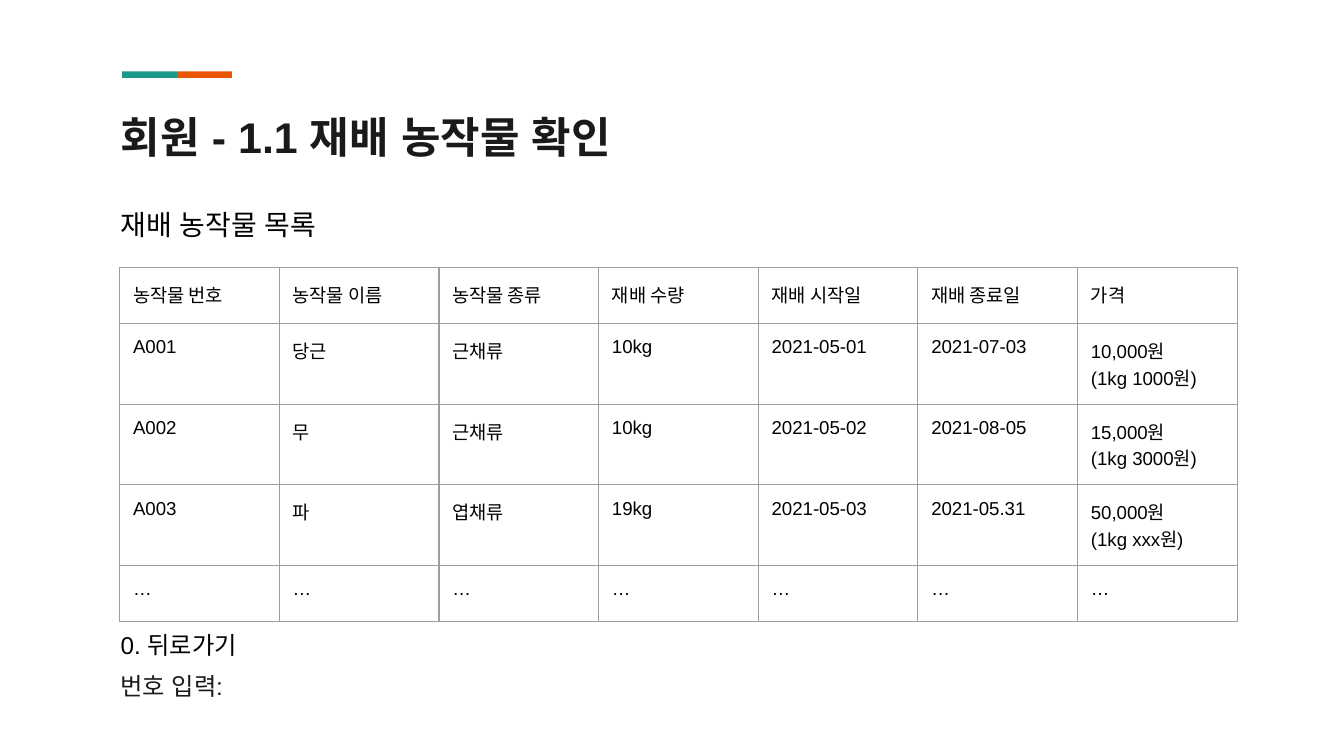
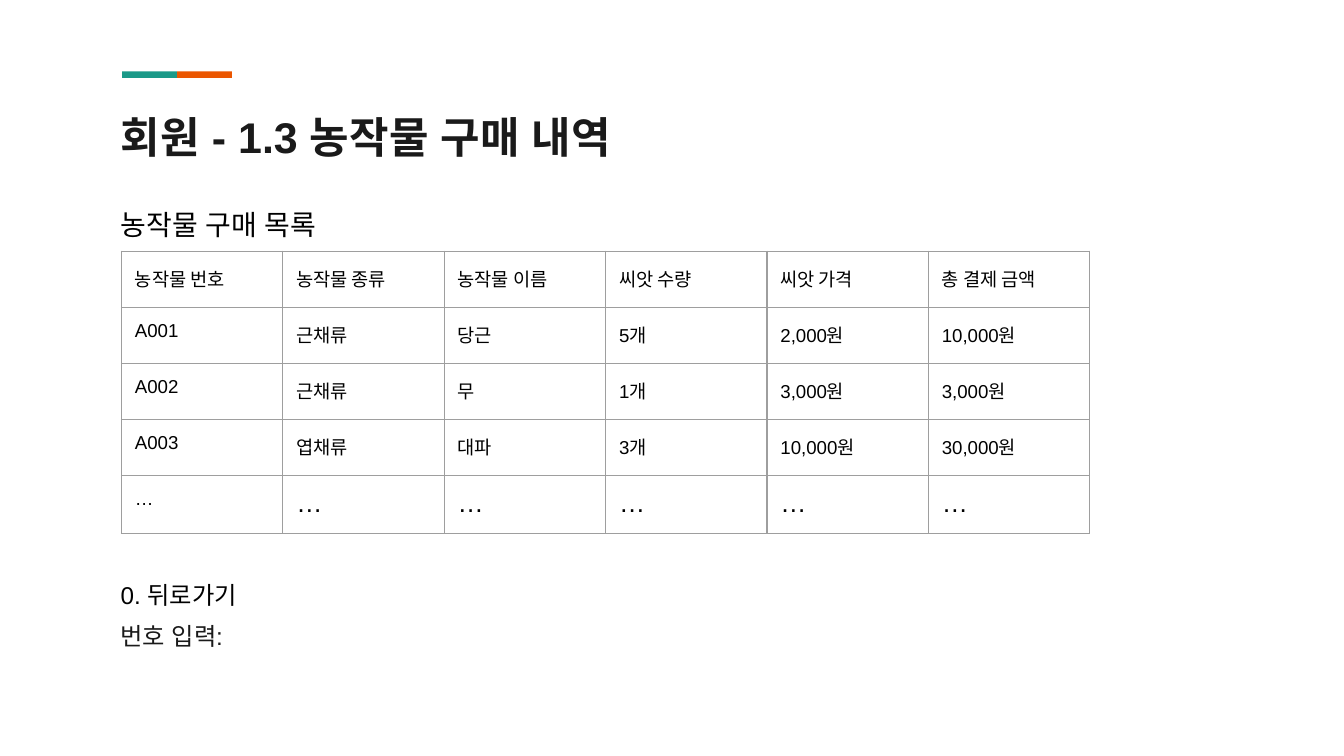
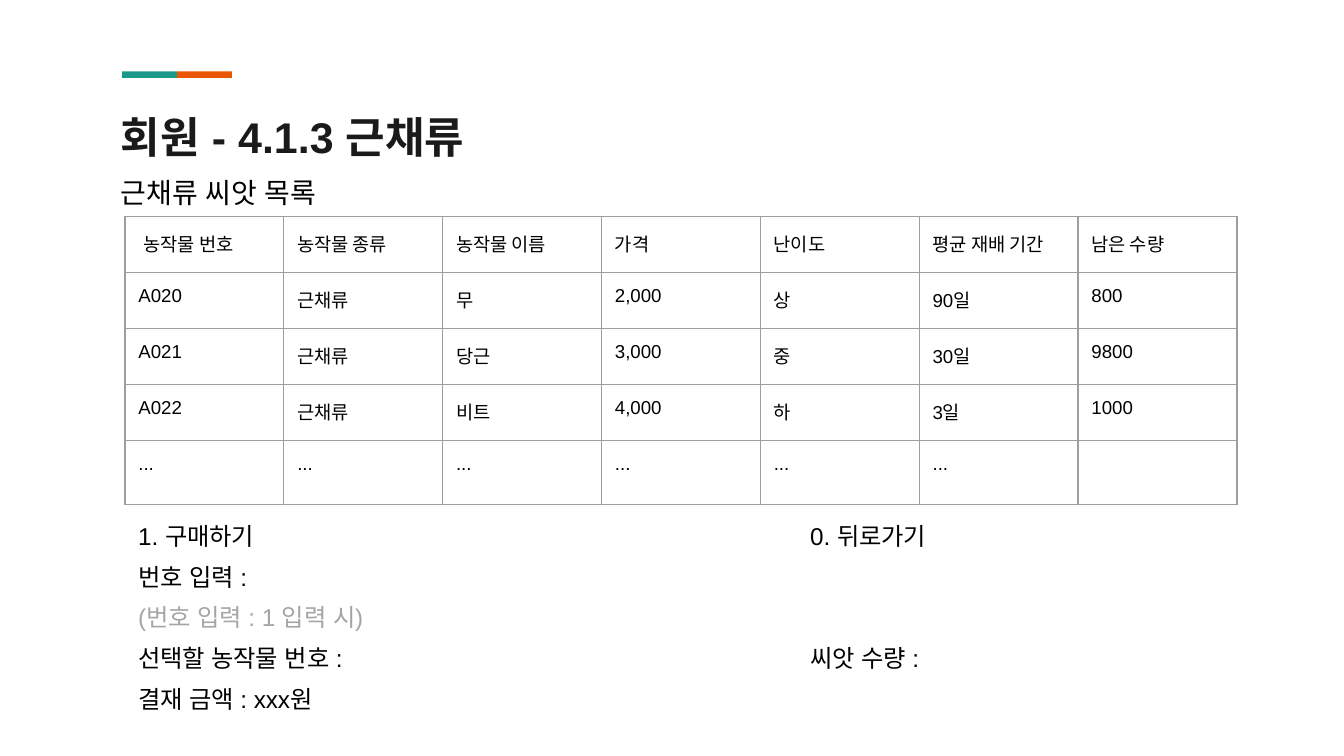
from lxml import etree
from pptx import Presentation
from pptx import util as u
from pptx.dml import color
from pptx.enum import shapes, text
from pptx.oxml import ns

COLORS = {
    "orange": "EB5600",
    "teal": "1A9988",
    "title": "1A1A1A",
    "body": "000000",
    "hint": "A5A5A5",
    "grid": "9E9E9E",
}
FONT = "Arial"
COLUMNS, ROWS = 100, 56.25
LEFT = 8
INSET = 1
ROW = 4.17
BAR_LENGTH, BAR_THICKNESS = 10.6, 0.28
BAND = (9.1, 5.3, 8.16, 0.5)

TITLE = {"size": 23, "bold": True, "color": "title", "asian": FONT}
HEADING = {"size": 15, "color": "body", "line_spacing": 1.15, "space_after": 12, "asian": FONT}
MENU = {"size": 13, "color": "body", "line_spacing": 1.4, "asian": FONT}
PROMPT = {**MENU, "color": "title"}
HINT = {**MENU, "color": "hint"}
CELL = {"size": 10, "color": "body"}
BIG_CELL = {**CELL, "size": 14}


def grid(count):
    return u.Inches(count / 10)


def rgb(name):
    return color.RGBColor.from_string(COLORS[name])


def sub(parent, tag, **attributes):
    return etree.SubElement(parent, ns.qn(tag), attributes)


def write(para, words, style):
    for name in ("line_spacing", "space_after"):
        if name in style:
            value = style[name]
            setattr(para, name, u.Pt(value) if name == "space_after" else value)
    if not words:
        sub(para._p, "a:endParaRPr", sz=str(style["size"] * 100))
        return
    span = para.add_run()
    span.text = words
    formats = {"name": FONT, "size": u.Pt(style["size"]), "bold": style.get("bold", False)}
    for name, value in formats.items():
        setattr(span.font, name, value)
    span.font.color.rgb = rgb(style["color"])
    if "asian" in style:
        sub(span.font._element, "a:ea", typeface=style["asian"])


def write_lines(frame, lines):
    for index, (words, style) in enumerate(lines):
        para = frame.add_paragraph() if index else frame.paragraphs[0]
        write(para, words, style)


def add_text(page, place, lines, anchor=text.MSO_ANCHOR.TOP):
    box = page.shapes.add_textbox(*map(grid, place))
    frame = box.text_frame
    formats = {"word_wrap": True, "vertical_anchor": anchor}
    formats.update({f"margin_{side}": grid(INSET) for side in ("left", "top", "right", "bottom")})
    for name, value in formats.items():
        setattr(frame, name, value)
    write_lines(frame, lines)
    return box


def add_tab_stop(para, position):
    stops = sub(para._p.get_or_add_pPr(), "a:tabLst")
    sub(stops, "a:tab", pos=str(grid(position)), algn="l")


def add_bar(band, center, middle, name):
    bar = band.shapes.add_shape(
        shapes.MSO_SHAPE.RECTANGLE,
        grid(center - BAR_THICKNESS / 2), grid(middle - BAR_LENGTH / 2),
        grid(BAR_THICKNESS), grid(BAR_LENGTH))
    bar.rotation = 270
    bar.shadow.inherit = False
    bar.fill.solid()
    bar.fill.fore_color.rgb = rgb(name)
    bar.line.fill.background()


def add_band(page):
    left, top, width, height = BAND
    band = page.shapes.add_group_shape()
    middle = top + BAR_THICKNESS / 2
    add_bar(band, left + BAR_LENGTH * 1.5, middle, "orange")
    add_bar(band, left + BAR_LENGTH / 2, middle, "teal")
    places = {"left": left, "top": top, "width": width, "height": height}
    for name, value in places.items():
        setattr(band, name, grid(value))
    frame = band._element.grpSpPr.find(ns.qn("a:xfrm"))
    inner = {
        "a:chOff": {"x": left, "y": top},
        "a:chExt": {"cx": BAR_LENGTH * 2, "cy": BAR_THICKNESS},
    }
    for tag, lengths in inner.items():
        for name, value in lengths.items():
            frame.find(ns.qn(tag)).set(name, str(grid(value)))


def add_borders(cell):
    properties = cell._tc.get_or_add_tcPr()
    for tag in ("a:lnL", "a:lnR", "a:lnT", "a:lnB"):
        line = sub(properties, tag, w=str(u.Pt(0.75)))
        sub(sub(line, "a:solidFill"), "a:srgbClr", val=COLORS["grid"])


def add_table(page, left, top, column, heights, records):
    count = len(records[0])
    table = page.shapes.add_table(
        len(records), count, grid(left), grid(top),
        grid(column * count), grid(sum(heights))).table
    for name in ("first_row", "horz_banding"):
        setattr(table, name, False)
    for table_column in table.columns:
        table_column.width = grid(column)
    for row, height, record in zip(table.rows, heights, records):
        row.height = grid(height)
        for cell, words in zip(row.cells, record):
            for side in ("left", "top", "right", "bottom"):
                setattr(cell, f"margin_{side}", grid(INSET))
            add_borders(cell)
            cell.fill.background()
            write_lines(cell.text_frame, [
                (line, CELL) for line in words.split("\n")])
    return table


def add_page(deck, title, heading, heading_top):
    page = deck.slides.add_slide(deck.slide_layouts[6])
    add_band(page)
    add_text(page, (LEFT, 7.2, 84.1, 5.9), [(title, TITLE)])
    add_text(page, (LEFT, heading_top, 38.9, 3.6), [(heading, HEADING)])
    return page


def add_back_menu(page, top):
    lines = [("0. 뒤로가기", MENU), ("번호 입력:", PROMPT)]
    add_text(page, (LEFT, top, 38.9, 7.7), lines, text.MSO_ANCHOR.MIDDLE)


def add_crops(deck):
    page = add_page(deck, "회원 - 1.1 재배 농작물 확인", "재배 농작물 목록", 14.1)
    add_table(page, 8.9, 19.9, 11.88, [ROW, 6, 6, 6, ROW], [
        ["농작물 번호", "농작물 이름", "농작물 종류", "재배 수량", "재배 시작일", "재배 종료일", "가격"],
        ["A001", "당근", "근채류", "10kg", "2021-05-01", "2021-07-03", "10,000원\n(1kg 1000원)"],
        ["A002", "무", "근채류", "10kg", "2021-05-02", "2021-08-05", "15,000원\n(1kg 3000원)"],
        ["A003", "파", "엽채류", "19kg", "2021-05-03", "2021-05.31", "50,000원\n(1kg xxx원)"],
        ["…"] * 7,
    ])
    add_back_menu(page, 45.2)


def add_purchases(deck):
    page = add_page(deck, "회원 - 1.3 농작물 구매 내역", "농작물 구매 목록", 14.1)
    table = add_table(page, 9.04, 18.7, 12.01, [ROW] * 5, [
        ["농작물 번호", "농작물 종류", "농작물 이름", "씨앗 수량", "씨앗 가격", "총 결제 금액"],
        ["A001", "근채류", "당근", "5개", "2,000원", "10,000원"],
        ["A002", "근채류", "무", "1개", "3,000원", "3,000원"],
        ["A003", "엽채류", "대파", "3개", "10,000원", "30,000원"],
        ["…"] + [""] * 5,
    ])
    for column in range(1, 6):
        write(table.cell(4, column).text_frame.paragraphs[0], "…", BIG_CELL)
    add_back_menu(page, 41.5)


def add_seeds(deck):
    page = add_page(deck, "회원 - 4.1.3 근채류", "근채류 씨앗 목록", 11.7)
    table = add_table(page, 9.3, 16.1, 11.82, [ROW] * 4 + [4.76], [
        ["농작물 번호", "농작물 종류", "농작물 이름", "가격", "난이도", "평균 재배 기간", "남은 수량"],
        ["A020", "근채류", "무", "2,000", "상", "90일", "800"],
        ["A021", "근채류", "당근", "3,000", "중", "30일", "9800"],
        ["A022", "근채류", "비트", "4,000", "하", "3일", "1000"],
        ["..."] * 6 + [""],
    ])
    table.cell(0, 0).margin_left = grid(1.4)
    order = add_text(page, (9.3, 36.9, 80.1, 15.3), [
        ("1. 구매하기\t0. 뒤로가기", MENU),
        ("번호 입력 :", MENU),
        ("(번호 입력 : 1 입력 시)", HINT),
        ("선택할 농작물 번호 :\t씨앗 수량 :", MENU),
        ("결재 금액 : xxx원", MENU),
    ])
    for para in order.text_frame.paragraphs:
        if "\t" in para.text:
            add_tab_stop(para, 50)


def main():
    deck = Presentation()
    deck.slide_width, deck.slide_height = grid(COLUMNS), grid(ROWS)
    add_crops(deck)
    add_purchases(deck)
    add_seeds(deck)
    deck.save("out.pptx")


if __name__ == "__main__":
    main()
